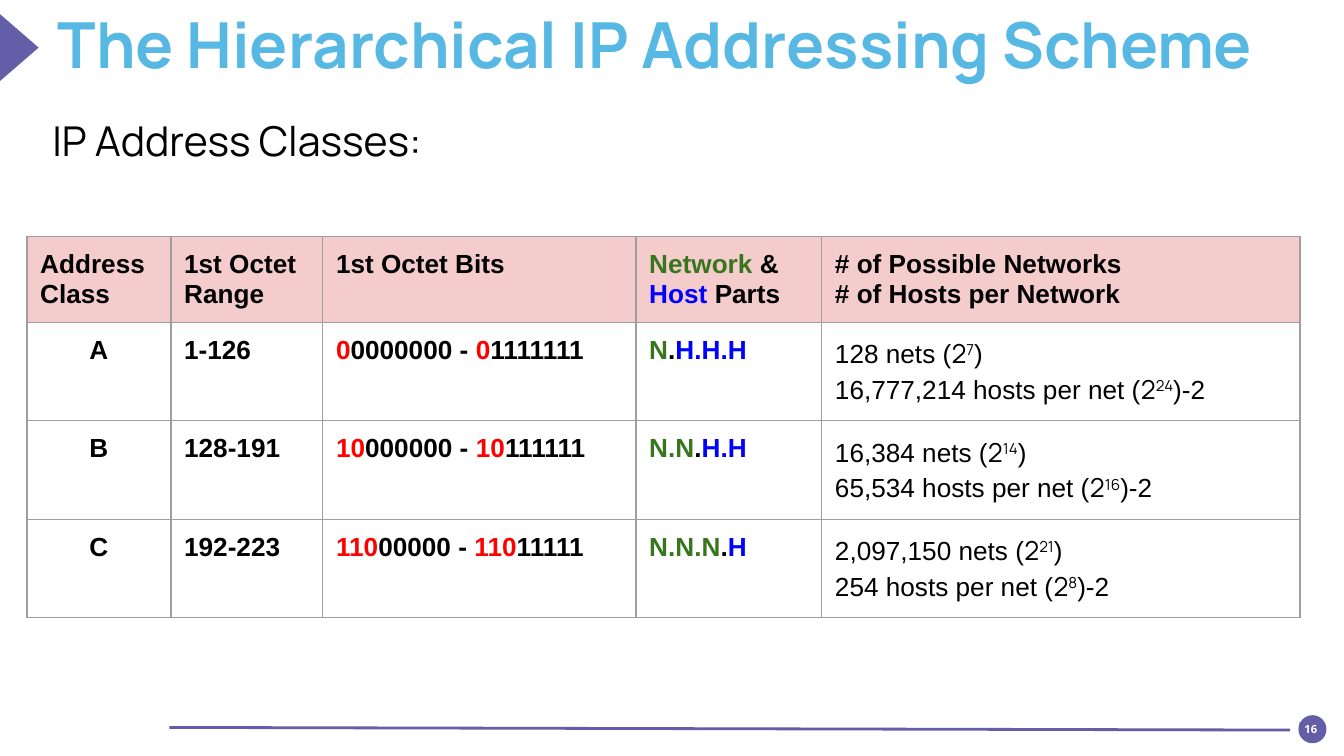
"""Build the slide on IP address classes."""
from lxml import etree
from pptx import Presentation
from pptx import util as u
from pptx.dml import color as c
from pptx.enum import shapes, text
from pptx.oxml import ns

PURPLE, BLACK, WHITE, GREY = "635EA7", "000000", "FFFFFF", "9E9E9E"
GREEN, BLUE, RED, PINK = "38761D", "0000FF", "FF0000", "F4CCCC"


def rgb(value):
    return c.RGBColor.from_string(value)


def add_run(paragraph, words, color=BLACK, size=14, font="Arial", bold=True):
    run = paragraph.add_run()
    run.text = words
    run.font.size = u.Pt(size)
    run.font.name = font
    run.font.bold = bold
    run.font.color.rgb = rgb(color)
    return run


presentation = Presentation()
presentation.slide_width = u.Cm(25.4)
presentation.slide_height = u.Cm(14.28)
slide = presentation.slides.add_slide(presentation.slide_layouts[1])

decorations = [
    (shapes.MSO_SHAPE.OVAL, 24.54, 13.51, 0.53, 0.53, 0),
    (shapes.MSO_SHAPE.RECTANGLE, 24.56, 13.64, 0.43, 0.25, 0),
    (shapes.MSO_SHAPE.ISOSCELES_TRIANGLE, -0.28, 0.53, 1.28, 0.74, 90),
]
for kind, left, top, width, height, rotation in decorations:
    shape = slide.shapes.add_shape(kind, u.Cm(left), u.Cm(top), u.Cm(width), u.Cm(height))
    shape.rotation = rotation
    shape.shadow.inherit = False
    shape.fill.solid()
    shape.fill.fore_color.rgb = rgb(PURPLE)
    shape.line.fill.background()
    if kind == shapes.MSO_SHAPE.RECTANGLE:
        frame = shape.text_frame
        frame.margin_left = frame.margin_right = frame.margin_top = frame.margin_bottom = 0
        frame.vertical_anchor = text.MSO_ANCHOR.MIDDLE
        frame.paragraphs[0].alignment = text.PP_ALIGN.CENTER
        add_run(frame.paragraphs[0], "16", WHITE, 6, "Open Sans")

footer_line = slide.shapes.add_connector(
    shapes.MSO_CONNECTOR.STRAIGHT, u.Cm(24.38), u.Cm(13.79), u.Cm(3.2), u.Cm(13.74))
footer_line.line.color.rgb = rgb(PURPLE)
footer_line.line.width = u.Pt(1.5)
etree.SubElement(footer_line._element.spPr, ns.qn("a:effectLst"))

placeholders = [
    (slide.shapes.title, (1.09, 0.1, 22.83, 1.75), 0,
     ("The Hierarchical IP Addressing Scheme", "58B8E4", 34, "Manrope", True)),
    (slide.placeholders[1], (0.74, 1.93, 23.93, 3.56), 0.25,
     ("IP Address Classes:", BLACK, 22, "Manrope", False)),
]
for shape, box, margin, words in placeholders:
    shape.left, shape.top, shape.width, shape.height = [u.Cm(length) for length in box]
    frame = shape.text_frame
    frame.margin_left = frame.margin_right = u.Cm(margin)
    frame.margin_top = frame.margin_bottom = u.Cm(margin)
    frame.vertical_anchor = text.MSO_ANCHOR.TOP
    frame.auto_size = text.MSO_AUTO_SIZE.NONE
    frame.word_wrap = True
    paragraph = frame.paragraphs[0]
    paragraph.alignment = text.PP_ALIGN.LEFT
    paragraph.space_before = u.Pt(0)
    properties = paragraph._p.get_or_add_pPr()
    properties.set("marL", "0")
    properties.set("indent", "0")
    etree.SubElement(properties, ns.qn("a:buNone"))
    add_run(paragraph, *words)

header = [
    [[("Address", BLACK)], [("Class", BLACK)]],
    [[("1st Octet Range", BLACK)]],
    [[("1st Octet Bits", BLACK)]],
    [[("Network ", GREEN), ("& ", BLACK), ("Host ", BLUE), ("Parts", BLACK)]],
    [[("# of Possible Networks", BLACK)], [("# of Hosts per Network", BLACK)]],
]
classes = [
    ("A", "1-126", "0", "N", "H.H.H", "128", "7", "16,777,214", "24"),
    ("B", "128-191", "10", "N.N", "H.H", "16,384", "14", "65,534", "16"),
    ("C", "192-223", "110", "N.N.N", "H", "2,097,150", "21", "254", "8"),
]
rows = [header]
for name, octets, prefix, network, host, nets, net_bits, hosts, host_bits in classes:
    free = 8 - len(prefix)
    rows.append([
        [[(name, BLACK)]],
        [[(octets, BLACK)]],
        [[(prefix, RED), ("0" * free + " - ", BLACK), (prefix, RED), ("1" * free, BLACK)]],
        [[(network, GREEN), (".", BLACK), (host, BLUE)]],
        [[(f"{nets} nets (", net_bits, ")")],
         [(f"{hosts} hosts per net (", host_bits, ")-2")]],
    ])

widths = [2.72, 2.87, 5.92, 3.51, 9.04]
heights = [1.62, 1.86, 1.86, 1.86]
table = slide.shapes.add_table(
    len(rows), len(widths), u.Cm(0.51), u.Cm(4.47), u.Cm(sum(widths)), u.Cm(sum(heights))).table
table.first_row = table.horz_banding = False
for column, width in zip(table.columns, widths):
    column.width = u.Cm(width)
for row, height in zip(table.rows, heights):
    row.height = u.Cm(height)

for row_index, row in enumerate(rows):
    for column_index, lines in enumerate(row):
        cell = table.cell(row_index, column_index)
        cell.margin_left = cell.margin_right = u.Cm(0.25)
        cell.margin_top = cell.margin_bottom = u.Cm(0.25)
        properties = cell._tc.get_or_add_tcPr()
        for side in ("lnL", "lnR", "lnT", "lnB"):
            border = etree.SubElement(properties, ns.qn(f"a:{side}"), w=str(u.Pt(0.75)))
            fill = etree.SubElement(border, ns.qn("a:solidFill"))
            etree.SubElement(fill, ns.qn("a:srgbClr"), val=GREY)
        if row_index == 0:
            cell.fill.solid()
            cell.fill.fore_color.rgb = rgb(PINK)
        else:
            cell.fill.background()
        for line_index, line in enumerate(lines):
            frame = cell.text_frame
            paragraph = frame.add_paragraph() if line_index else frame.paragraphs[0]
            if row_index and column_index == 0:
                paragraph.alignment = text.PP_ALIGN.CENTER
            if row_index and column_index == 4:
                start, exponent, end = line[0]
                add_run(paragraph, start, bold=False)
                add_run(paragraph, "2", font="Manrope", bold=False)
                power = add_run(paragraph, exponent, font="Manrope", bold=False)
                power._r.get_or_add_rPr().set("baseline", "30000")
                add_run(paragraph, end, bold=False)
            else:
                for words, color in line:
                    add_run(paragraph, words, color)

presentation.save("out.pptx")
